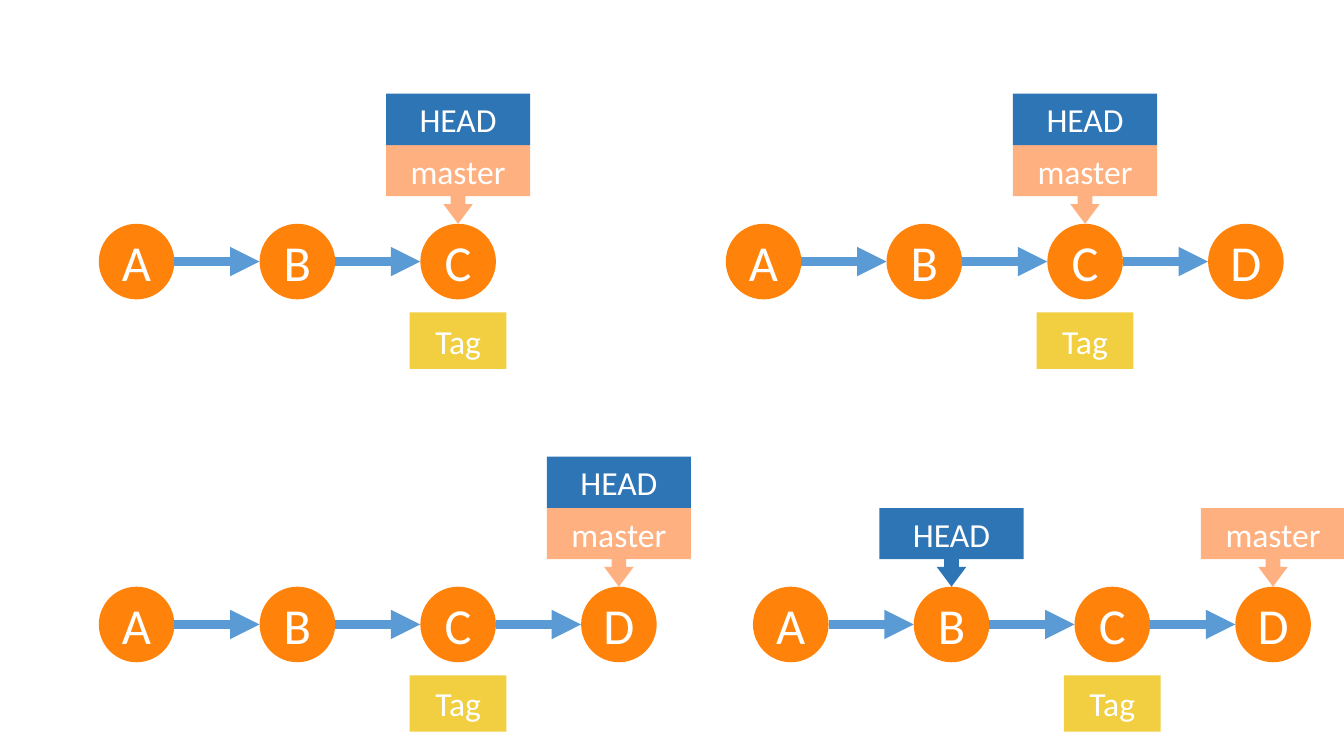
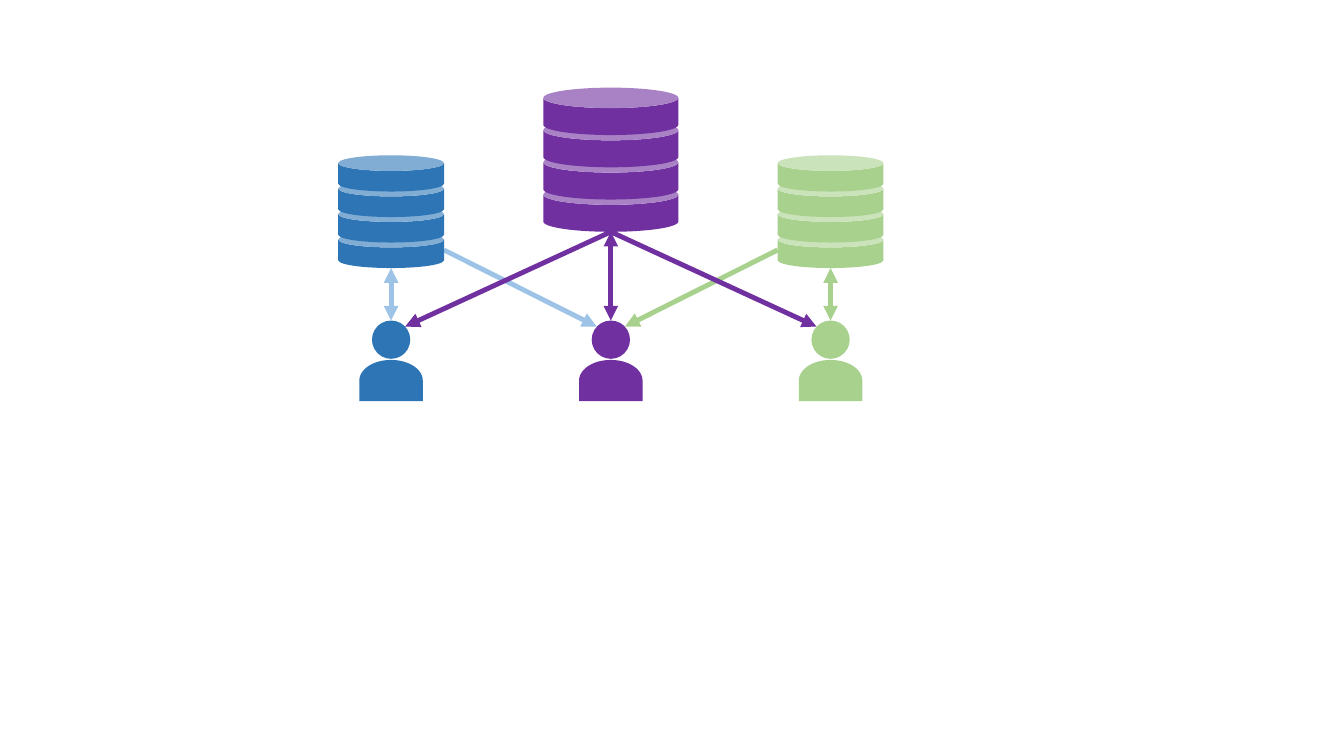
"""Build two slides: commit histories with their labels, and users sharing databases."""
from dataclasses import dataclass

from pptx import Presentation
from pptx.dml.color import RGBColor
from pptx.enum.shapes import MSO_CONNECTOR as Connector, MSO_SHAPE as Preset
from pptx.enum.text import MSO_ANCHOR as Anchor, PP_ALIGN as Align
from pptx.oxml.ns import qn
from pptx.oxml.xmlchemy import OxmlElement
from pptx.util import Inches, Pt

ROWS = 75
SLIDE_HEIGHT = Inches(7.5)
SLIDE_WIDTH = SLIDE_HEIGHT * 16 // 9
CELL = SLIDE_HEIGHT / ROWS

NODE = 7.5
NODE_PITCH = 15.95
LABEL_WIDTH, LABEL_HEIGHT = 14.3, 5.1
CALLOUT_HEIGHT = 7.8
TAG_WIDTH, TAG_HEIGHT, TAG_GAP = 9.6, 5.6, 1.3

MIDDLE, USER_PITCH = 60.6, 21.8
HEAD_TOP, HEAD_SIZE = 31.8, 3.8
BODY_WIDTH, BODY_HEIGHT = 6.3, 4.1
HEAD_REACH, HEAD_CONTACT = 1.4, 32.4


@dataclass(frozen=True)
class Theme:
    """Hold the colours and type sizes of the deck."""
    white: str = "FFFFFF"
    commit: str = "FF820A"
    history: str = "5B9BD5"
    branch: str = "FEB080"
    blue: str = "2E75B6"
    tag: str = "F1CF41"
    light_blue: str = "9DC3E6"
    green: str = "A9D18E"
    purple: str = "7030A0"
    font: str = "Calibri"
    node_size: int = 36
    label_size: int = 24
    history_line: float = 7
    link_line: float = 3.5


THEME = Theme()


@dataclass(frozen=True)
class Database:
    """Describe a stack of discs by its place and measures."""
    center: float
    bottom: float
    width: float
    disc: float
    pitch: float
    color: str


def cells(*lengths):
    """Convert grid cells to slide units."""
    return [round(length * CELL) for length in lengths]


def add_preset(shapes, preset, box, color, adjustments=()):
    """Add a plain filled preset shape in a box of grid cells."""
    shape = shapes.add_shape(preset, *cells(*box))
    shape.shadow.inherit = False
    shape.fill.solid()
    shape.fill.fore_color.rgb = RGBColor.from_string(color)
    shape.line.fill.background()
    for index, value in enumerate(adjustments):
        shape.adjustments[index] = value
    return shape


def add_text(shape, text, size, wrap=True):
    """Write one centred run in a shape."""
    frame = shape.text_frame
    frame.word_wrap = wrap
    frame.vertical_anchor = Anchor.MIDDLE
    if not wrap:
        frame.margin_left = frame.margin_right = 0
        frame.margin_top = frame.margin_bottom = 0
    paragraph = frame.paragraphs[0]
    paragraph.alignment = Align.CENTER
    run = paragraph.add_run()
    run.text = text
    run.font.name = THEME.font
    run.font.size = Pt(size)
    run.font.color.rgb = RGBColor.from_string(THEME.white)


def add_arrow(shapes, start, end, color, width, both=False):
    """Add a straight arrow between two grid points."""
    connector = shapes.add_connector(Connector.STRAIGHT, *cells(*start, *end))
    connector.line.color.rgb = RGBColor.from_string(color)
    connector.line.width = Pt(width)
    properties = connector._element.spPr
    line = properties.find(qn("a:ln"))
    for tag in ("a:headEnd", "a:tailEnd") if both else ("a:tailEnd",):
        arrowhead = OxmlElement(tag)
        arrowhead.set("type", "triangle")
        line.append(arrowhead)
    properties.append(OxmlElement("a:effectLst"))


def add_callout(shapes, center, node_top, text, color):
    """Add a label that points down at a commit."""
    box = (center - LABEL_WIDTH / 2, node_top - CALLOUT_HEIGHT, LABEL_WIDTH, CALLOUT_HEIGHT)
    callout = add_preset(shapes, Preset.DOWN_ARROW_CALLOUT, box, color, (0.187, 0.187, 0.25, 0.65))
    add_text(callout, text, THEME.label_size)


def add_label(shapes, center, top, width, height, text, color):
    """Add a rectangular label centred on a column."""
    label = add_preset(shapes, Preset.RECTANGLE, (center - width / 2, top, width, height), color)
    add_text(label, text, THEME.label_size)


def add_history(shapes, left, top, commits, head, master):
    """Add a chain of commits with its HEAD, master and Tag labels."""
    centers = {}
    for index, name in enumerate(commits):
        node_left = left + index * NODE_PITCH
        centers[name] = node_left + NODE / 2
        node = add_preset(shapes, Preset.OVAL, (node_left, top, NODE, NODE), THEME.commit)
        add_text(node, name, THEME.node_size, wrap=False)
        if index:
            middle = top + NODE / 2
            start = (node_left - NODE_PITCH + NODE, middle)
            add_arrow(shapes, start, (node_left, middle), THEME.history, THEME.history_line)
    add_label(shapes, centers["C"], top + NODE + TAG_GAP, TAG_WIDTH, TAG_HEIGHT, "Tag", THEME.tag)
    add_callout(shapes, centers[master], top, "master", THEME.branch)
    if head == master:
        label_top = top - CALLOUT_HEIGHT - LABEL_HEIGHT
        add_label(shapes, centers[head], label_top, LABEL_WIDTH, LABEL_HEIGHT, "HEAD", THEME.blue)
    else:
        add_callout(shapes, centers[head], top, "HEAD", THEME.blue)


def add_database(shapes, database):
    """Add a group of four stacked discs, lowest first."""
    group = shapes.add_group_shape()
    left = database.center - database.width / 2
    for level in range(4):
        top = database.bottom - database.disc - level * database.pitch
        box = (left, top, database.width, database.disc)
        add_preset(group.shapes, Preset.CAN, box, database.color, (0.432,))


def add_user(shapes, center, color):
    """Add a user made of a round head and an upturned body."""
    group = shapes.add_group_shape()
    body_middle = HEAD_TOP + HEAD_SIZE + BODY_HEIGHT / 2 + 0.1
    box = (center - BODY_HEIGHT / 2, body_middle - BODY_WIDTH / 2, BODY_HEIGHT, BODY_WIDTH)
    body = add_preset(group.shapes, Preset.FLOWCHART_DELAY, box, color)
    body.rotation = 270
    head_box = (center - HEAD_SIZE / 2, HEAD_TOP, HEAD_SIZE, HEAD_SIZE)
    add_preset(group.shapes, Preset.OVAL, head_box, color)


def build_histories(slide):
    """Show four states of a commit history."""
    upper, lower = 22.2, 58.2
    for left, top, commits, head, master in (
        (9.8, upper, "ABC", "C", "C"),
        (9.8, lower, "ABCD", "D", "D"),
        (74.7, lower, "ABCD", "B", "D"),
        (72, upper, "ABCD", "C", "C"),
    ):
        add_history(slide.shapes, left, top, commits, head, master)


def build_databases(slide):
    """Show users linked to their own and shared databases."""
    shapes = slide.shapes
    shared = Database(MIDDLE, 23, 13.4, 4.7, 3.2, THEME.purple)
    databases = [shared]
    shared_base = (shared.center, shared.bottom)
    for side, color, link in ((-1, THEME.blue, THEME.light_blue), (1, THEME.green, THEME.green)):
        center = MIDDLE + side * USER_PITCH
        own = Database(center, 26.6, 10.5, 3.6, 2.53, color)
        databases.append(own)
        add_arrow(shapes, (center - side * own.width / 2, 24.8),
                  (MIDDLE + side * HEAD_REACH, HEAD_CONTACT), link, THEME.link_line)
        add_arrow(shapes, shared_base, (center - side * HEAD_REACH, HEAD_CONTACT),
                  THEME.purple, THEME.link_line)
        add_arrow(shapes, (center, HEAD_TOP), (center, own.bottom), link, THEME.link_line, both=True)
    add_arrow(shapes, (MIDDLE, HEAD_TOP), shared_base, THEME.purple, THEME.link_line, both=True)
    for database in databases:
        add_database(shapes, database)
        add_user(shapes, database.center, database.color)


def main():
    """Build and save the presentation."""
    presentation = Presentation()
    presentation.slide_width = SLIDE_WIDTH
    presentation.slide_height = SLIDE_HEIGHT
    blank = presentation.slide_layouts[6]
    for build in (build_histories, build_databases):
        build(presentation.slides.add_slide(blank))
    presentation.save("out.pptx")


main()
